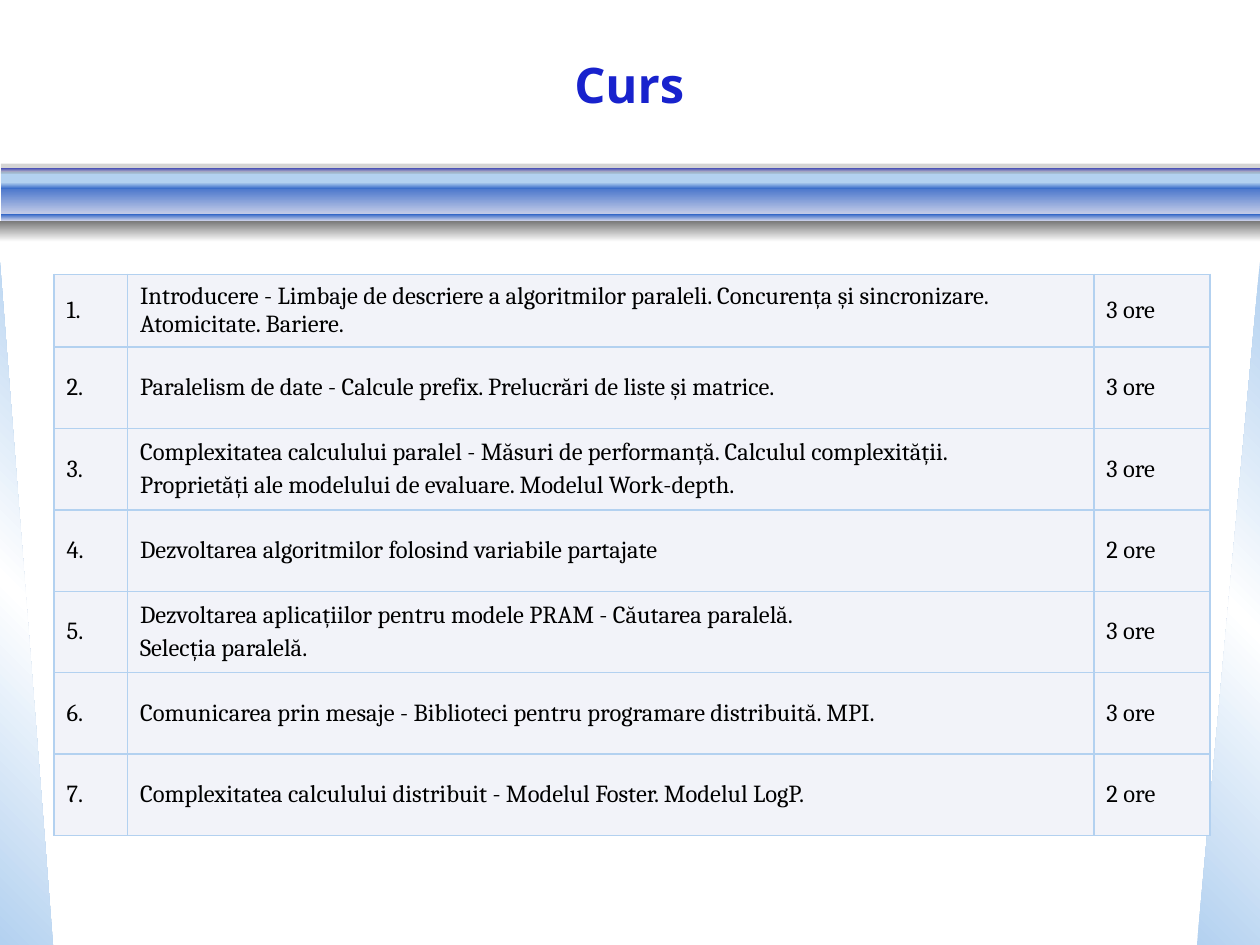
import copy
import dataclasses

import pptx
import pptx.dml.color
import pptx.enum.shapes
import pptx.enum.text
import pptx.oxml
import pptx.oxml.ns
import pptx.util

Cm, Pt = pptx.util.Cm, pptx.util.Pt
RGB = pptx.dml.color.RGBColor.from_string
SHAPE = pptx.enum.shapes.MSO_SHAPE
MIDDLE = pptx.enum.text.MSO_ANCHOR.MIDDLE


@dataclasses.dataclass(frozen=True)
class Theme:
    title_font: str = "Open Sans"
    title_size: float = 28
    body_font: str = "Cambria"
    body_size: float = 14
    space_before: float = 2.8
    title: str = "1822CD"
    text: str = "000000"
    pale: str = "B3D1F0"
    blue: str = "3568C7"
    mist: str = "CAD0E9"
    lilac: str = "BABBE7"
    gray: str = "777777"
    white: str = "FFFFFF"
    cell: str = "F2F3F9"


class SlideBuilder:
    def __init__(self, prs, theme):
        self.theme = theme
        self.s = prs.slides.add_slide(prs.slide_layouts[5])

    def shape(self, kind, box, colors, angle=90, flip=None, alpha=None):
        """Draw a borderless shape; several colours make an even gradient, angle clockwise."""
        sp = self.s.shapes.add_shape(kind, *map(Cm, box))
        sp.shadow.inherit = False
        sp.line.fill.background()
        if flip:
            sp._element.spPr.xfrm.set(flip, "1")
        if len(colors) == 1:
            sp.fill.solid()
            sp.fill.fore_color.rgb = RGB(colors[0])
            if alpha:
                clr = sp._element.spPr.find(".//" + pptx.oxml.ns.qn("a:srgbClr"))
                clr.append(pptx.oxml.parse_xml(
                    f'<a:alpha {pptx.oxml.ns.nsdecls("a")} val="{alpha * 1000}"/>'))
            return
        sp.fill.gradient()
        sp.fill.gradient_angle = 360 - angle
        stops = sp._element.spPr.find(".//" + pptx.oxml.ns.qn("a:gsLst"))
        for _ in colors[2:]:
            stops.append(copy.deepcopy(stops[0]))
        for i, (stop, color) in enumerate(zip(sp.fill.gradient_stops, colors)):
            stop.position = i / (len(colors) - 1)
            stop.color.rgb = RGB(color)

    def font(self, p, name, size, color, bold=False):
        p.font.name, p.font.size, p.font.bold = name, Pt(size), bold
        p.font.color.rgb = RGB(color)

    def title(self, text, box):
        t, sp = self.theme, self.s.shapes.title
        sp.left, sp.top, sp.width, sp.height = map(Cm, box)
        tf = sp.text_frame
        tf.text = text
        tf.vertical_anchor = MIDDLE
        p = tf.paragraphs[0]
        p.alignment = pptx.enum.text.PP_ALIGN.CENTER
        self.font(p, t.title_font, t.title_size, t.title, bold=True)

    def table(self, rows, left, top, widths, heights):
        gf = self.s.shapes.add_table(len(rows), len(widths), Cm(left), Cm(top),
                                     Cm(sum(widths)), Cm(sum(heights)))
        table = gf.table
        table.first_row = table.horz_banding = False
        for column, width in zip(table.columns, widths):
            column.width = Cm(width)
        for row, height, texts in zip(table.rows, heights, rows):
            row.height = Cm(height)
            for cell, text in zip(row.cells, texts):
                self.cell(cell, text)

    def cell(self, cell, text):
        t = self.theme
        cell.text = text
        cell.vertical_anchor = MIDDLE
        for p in cell.text_frame.paragraphs:
            p.space_before = Pt(t.space_before)
            self.font(p, t.body_font, t.body_size, t.text)
        tcPr = cell._tc.get_or_add_tcPr()
        for side in "LRTB":
            tcPr.append(pptx.oxml.parse_xml(
                f'<a:ln{side} {pptx.oxml.ns.nsdecls("a")} w="{Pt(1)}"><a:solidFill>'
                f'<a:srgbClr val="{t.pale}"/></a:solidFill></a:ln{side}>'))
        cell.fill.solid()
        cell.fill.fore_color.rgb = RGB(t.cell)


LECTURES = [
    ("Introducere - Limbaje de descriere a algoritmilor paraleli. "
     "Concurența și sincronizare. Atomicitate. Bariere.", 3),
    ("Paralelism de date - Calcule prefix. Prelucrări de liste și matrice.", 3),
    ("Complexitatea calculului paralel - Măsuri de performanță. Calculul complexității.\n"
     "Proprietăți ale modelului de evaluare. Modelul Work-depth.", 3),
    ("Dezvoltarea algoritmilor folosind variabile partajate", 2),
    ("Dezvoltarea aplicațiilor pentru modele PRAM - Căutarea paralelă.\n"
     "Selecția paralelă.", 3),
    ("Comunicarea prin mesaje - Biblioteci pentru programare distribuită. MPI.", 3),
    ("Complexitatea calculului distribuit - Modelul Foster. Modelul LogP.", 2),
]


def main():
    prs = pptx.Presentation()
    prs.slide_width, prs.slide_height = Cm(25.4), Cm(19.05)
    t = Theme()
    b = SlideBuilder(prs, t)

    side = (t.pale, t.white, t.pale)
    b.shape(SHAPE.RIGHT_TRIANGLE, (0, 5.28, 1.07, 13.77), side, angle=315)
    b.shape(SHAPE.RIGHT_TRIANGLE, (24.13, 5.28, 1.27, 13.77), side, angle=45, flip="flipH")

    bands = [  # top, height, colours, flip
        (3.45, 0.25, (t.pale,), "flipV"),
        (3.71, 0.63, (t.blue, t.mist), None),
        (3.38, 0.08, (t.title, t.lilac), None),
        (4.32, 0.13, (t.mist, t.blue), "flipV"),
        (3.68, 0.13, (t.pale, t.blue), None),
    ]
    for top, height, colors, flip in bands:
        b.shape(SHAPE.RECTANGLE, (0.02, top, 25.38, height), colors, flip=flip)
    b.shape(SHAPE.RECTANGLE, (0, 4.45, 25.4, 0.43), (t.gray, t.white))
    b.shape(SHAPE.RECTANGLE, (0.02, 3.3, 25.38, 0.2), (t.gray,), alpha=31)

    b.title("Curs", (0.3, 0.2, 24.77, 2.97))
    rows = [(f"{n}.", topic, f"{hours} ore")
            for n, (topic, hours) in enumerate(LECTURES, 1)]
    b.table(rows, 1.09, 5.53, (1.48, 19.48, 2.34),
            [1.47] + [1.64] * (len(rows) - 1))
    prs.save("out.pptx")


if __name__ == "__main__":
    main()
